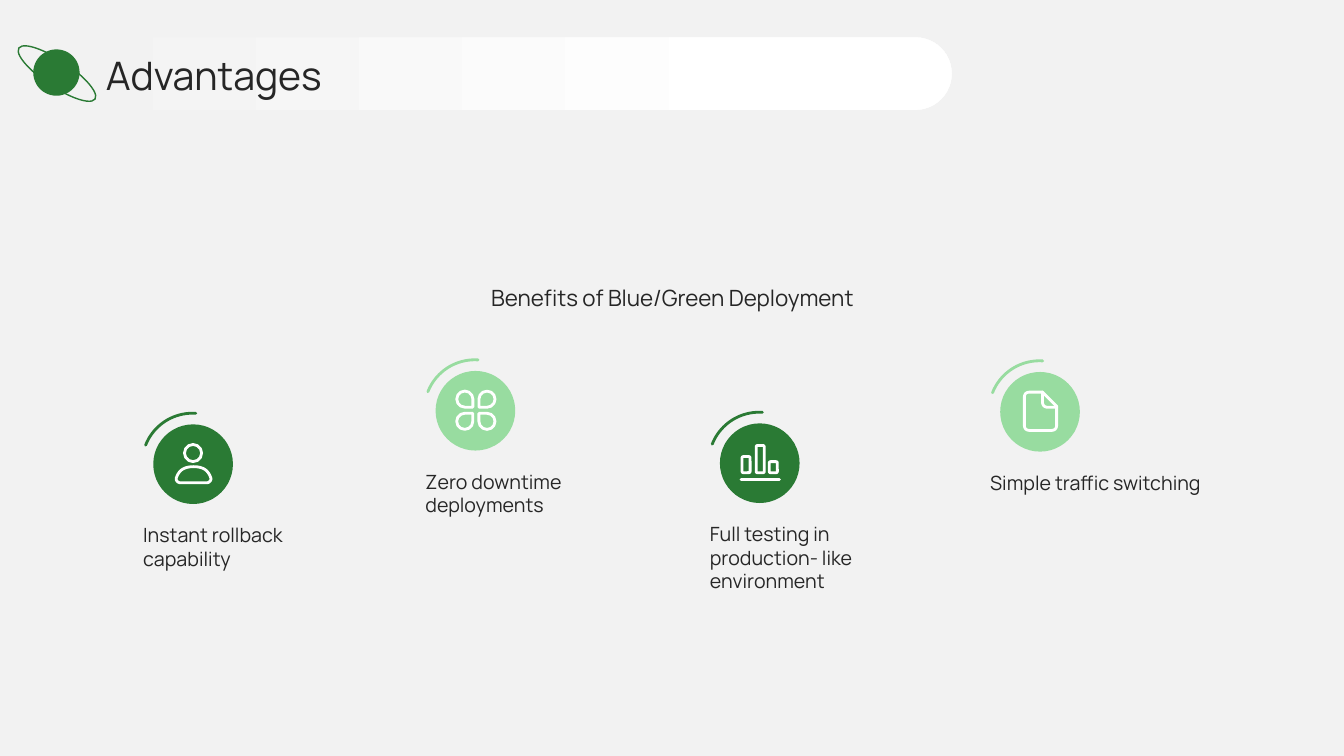
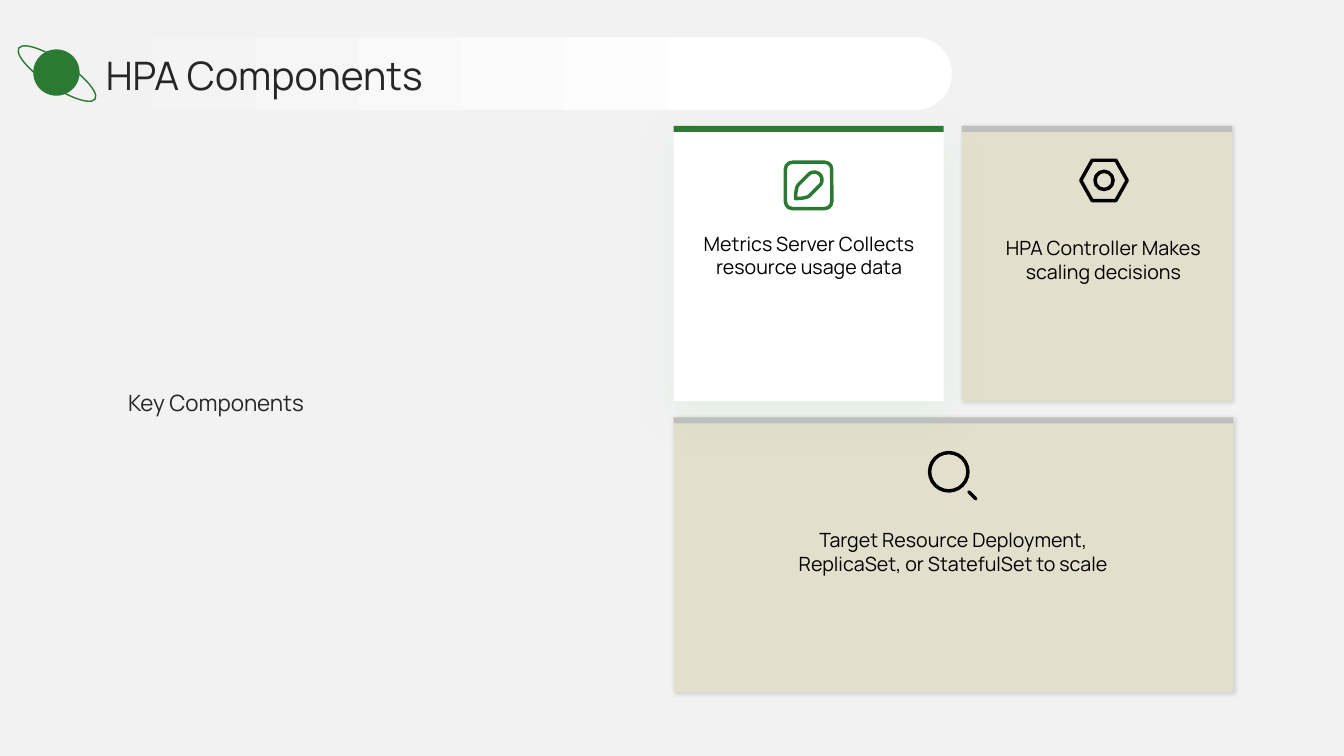
from dataclasses import dataclass

from lxml.etree import SubElement
from pptx import Presentation
from pptx.dml.color import RGBColor
from pptx.enum.shapes import MSO_CONNECTOR, MSO_SHAPE
from pptx.enum.text import MSO_ANCHOR, MSO_AUTO_SIZE, PP_ALIGN
from pptx.oxml.ns import qn
from pptx.slide import Slide
from pptx.util import Inches, Pt

FONT = "Manrope"
COLORS = {
    "page": "F2F2F2", "white": "FFFFFF", "black": "000000", "text": "262626",
    "green": "2A7A34", "mint": "98DCA0", "sand": "E2DFCC", "grey": "BFBFBF",
}
SOFT_SHADOW = ("black", 15, 3, 1, 45)
GLOW_SHADOW = ("mint", 15, 30, 10, 90)


def rgb(name):
    return RGBColor.from_string(COLORS[name])


def style_line(shape, color, pt):
    shape.line.color.rgb = rgb(color)
    shape.line.width = Pt(pt)
    shape._element.spPr.find(qn("a:ln")).set("cap", "rnd")


def style_shape(shape, fill=None, line=None, pt=1):
    shape.shadow.inherit = False
    if fill:
        shape.fill.solid()
        shape.fill.fore_color.rgb = rgb(fill)
    else:
        shape.fill.background()
    if line:
        style_line(shape, line, pt)
    else:
        shape.line.fill.background()


def add_shape(s, kind, x, y, w, h, fill=None, line=None, pt=1):
    sp = s.shapes.add_shape(kind, Inches(x), Inches(y), Inches(w), Inches(h))
    style_shape(sp, fill, line, pt)
    return sp


def add_shadow(sp, color, alpha, blur, dist, angle):
    effects = sp._element.spPr.find(qn("a:effectLst"))
    shadow = SubElement(effects, qn("a:outerShdw"), blurRad=str(Pt(blur)), dist=str(Pt(dist)),
                        dir=str(angle * 60000), algn="ctr", rotWithShape="0")
    clr = SubElement(shadow, qn("a:srgbClr"), val=COLORS[color])
    SubElement(clr, qn("a:alpha"), val=str(alpha * 1000))


def set_text(shape, text, size, color, align, anchor):
    tf = shape.text_frame
    tf.word_wrap = True
    tf.auto_size = MSO_AUTO_SIZE.NONE
    tf.margin_left = tf.margin_right = tf.margin_top = tf.margin_bottom = 0
    tf.vertical_anchor = anchor
    tf.text = text
    p = tf.paragraphs[0]
    p.alignment = align
    p.font.name = FONT
    p.font.size = Pt(size)
    p.font.color.rgb = rgb(color)


def add_text(s, text, x, y, w, h, size=14, color="text", align=PP_ALIGN.LEFT, anchor=MSO_ANCHOR.TOP):
    tb = s.shapes.add_textbox(Inches(x), Inches(y), Inches(w), Inches(h))
    set_text(tb, text, size, color, align, anchor)


def bezier(start, curve, steps=12):
    a, b, c, d = start, curve[:2], curve[2:4], curve[4:]
    for i in range(1, steps + 1):
        t = i / steps
        u = 1 - t
        yield tuple(u**3 * a[k] + 3 * u * u * t * b[k] + 3 * u * t * t * c[k] + t**3 * d[k] for k in (0, 1))


@dataclass
class Pen:
    s: Slide
    cx: float
    cy: float
    color: str
    pt: float

    def shape(self, kind, x, y, w, h):
        return add_shape(self.s, kind, self.cx + x, self.cy + y, w, h, line=self.color, pt=self.pt)

    def line(self, x1, y1, x2, y2):
        ends = (self.cx + x1, self.cy + y1, self.cx + x2, self.cy + y2)
        cn = self.s.shapes.add_connector(MSO_CONNECTOR.STRAIGHT, *map(Inches, ends))
        style_line(cn, self.color, self.pt)
        SubElement(cn._element.spPr, qn("a:effectLst"))

    def outline(self, *steps, close=True):
        points = [steps[0]]
        for step in steps[1:]:
            points += [step] if len(step) == 2 else bezier(points[-1], step)
        points = [(Inches(self.cx + x), Inches(self.cy + y)) for x, y in points]
        builder = self.s.shapes.build_freeform(*points[0], scale=1.0)
        builder.add_line_segments(points[1:], close=close)
        style_shape(builder.convert_to_shape(), line=self.color, pt=self.pt)


def person_icon(pen):
    pen.shape(MSO_SHAPE.OVAL, -0.09, -0.19, 0.17, 0.17)
    pen.outline((-0.13, 0.19), (0.13, 0.19), (0.16, 0.19, 0.18, 0.16, 0.17, 0.14),
                (0.15, 0.08, 0.11, 0.03, 0, 0.03), (-0.11, 0.03, -0.15, 0.08, -0.17, 0.14),
                (-0.18, 0.16, -0.16, 0.19, -0.13, 0.19))


def clover_icon(pen):
    for dx, dy, turn in ((-1, -1, 90), (1, -1, 180), (1, 1, 270), (-1, 1, 0)):
        petal = pen.shape(MSO_SHAPE.TEAR, 0.11 * dx - 0.08, 0.11 * dy - 0.08, 0.16, 0.16)
        petal.rotation = turn


def chart_icon(pen):
    for x, h in ((-0.18, 0.16), (-0.04, 0.27), (0.09, 0.11)):
        bar = pen.shape(MSO_SHAPE.ROUNDED_RECTANGLE, x, 0.1 - h, 0.08, h)
        bar.adjustments[0] = 0.15
    pen.line(-0.19, 0.17, 0.19, 0.17)


def file_icon(pen):
    pen.outline((0.02, -0.19), (0.16, -0.05), (0.16, 0.14), (0.16, 0.17, 0.14, 0.19, 0.11, 0.19),
                (-0.11, 0.19), (-0.14, 0.19, -0.16, 0.17, -0.16, 0.14), (-0.16, -0.14),
                (-0.16, -0.17, -0.14, -0.19, -0.11, -0.19))
    pen.outline((0.02, -0.19), (0.02, -0.09), (0.02, -0.06, 0.04, -0.04, 0.07, -0.04),
                (0.16, -0.04), close=False)


def pencil_icon(pen):
    frame = pen.shape(MSO_SHAPE.ROUNDED_RECTANGLE, -0.23, -0.23, 0.46, 0.46)
    frame.adjustments[0] = 0.15
    pen.outline((-0.13, 0.13), (-0.13, 0.07, -0.12, 0.01, -0.1, -0.01), (0, -0.11),
                (0.03, -0.14, 0.08, -0.14, 0.11, -0.11), (0.14, -0.08, 0.14, -0.03, 0.11, 0),
                (0.01, 0.1), (-0.01, 0.12, -0.07, 0.13, -0.13, 0.13))


def nut_icon(pen):
    nut = pen.shape(MSO_SHAPE.HEXAGON, -0.23, -0.2, 0.46, 0.4)
    nut.adjustments[0] = 0.28
    pen.shape(MSO_SHAPE.OVAL, -0.09, -0.09, 0.18, 0.18)


def search_icon(pen):
    pen.shape(MSO_SHAPE.OVAL, -0.23, -0.23, 0.38, 0.38)
    pen.line(0.16, 0.16, 0.23, 0.23)


def draw_title_band(s):
    band = add_shape(s, MSO_SHAPE.ROUNDED_RECTANGLE, 0.5, 0.37, 8.94, 0.72)
    band.adjustments[0] = 0.5
    band.fill.gradient()
    band.fill.gradient_angle = 0
    for stop, position, color in zip(band.fill.gradient_stops, (0, 0.8), ("page", "white")):
        stop.position = position
        stop.color.rgb = rgb(color)
    planet = add_shape(s, MSO_SHAPE.OVAL, 0.33, 0.49, 0.46, 0.46, "green")
    ring = add_shape(s, MSO_SHAPE.OVAL, 0.11, 0.6, 0.91, 0.26, line="green")
    ring.rotation = 33.8
    return band, planet, ring


def add_titled_slide(prs, title):
    s = prs.slides.add_slide(prs.slide_layouts[5])
    sp = s.shapes.title
    sp.left, sp.top, sp.width, sp.height = map(Inches, (1.05, 0.49, 11.67, 0.51))
    set_text(sp, title, 28, "text", PP_ALIGN.LEFT, MSO_ANCHOR.MIDDLE)
    return s


def move_band_to_layout(s):
    layout = s.slide_layout
    layout.background.fill.solid()
    layout.background.fill.fore_color.rgb = rgb("page")
    for ph in list(layout.placeholders)[1:]:
        ph._element.getparent().remove(ph._element)
    for sp in draw_title_band(s):
        layout.shapes._spTree.append(sp._element)


def add_benefit(s, x, y, color, icon, text):
    add_shape(s, MSO_SHAPE.OVAL, x, y, 0.79, 0.79, color)
    icon(Pen(s, x + 0.4, y + 0.39, "white", 2))
    arc = add_shape(s, MSO_SHAPE.ARC, x - 0.11, y - 0.11, 1, 1, line=color, pt=2)
    arc.adjustments[0], arc.adjustments[1] = 120.86, 164.24
    add_text(s, text, x - 0.1, y + 0.98, 2.11, 0.93)


def add_card(s, x, y, w, fill, accent, shadow):
    card = add_shape(s, MSO_SHAPE.RECTANGLE, x, y, w, 2.73, fill)
    add_shadow(card, *shadow)
    add_shape(s, MSO_SHAPE.RECTANGLE, x, y, w, 0.06, accent)


def fill_advantages(s):
    add_text(s, "Benefits of Blue/Green Deployment", 1.48, 1.91, 10.38, 1.18, 16,
             align=PP_ALIGN.CENTER, anchor=MSO_ANCHOR.BOTTOM)
    benefits = (
        (1.52, 4.21, "green", person_icon, "Instant rollback capability"),
        (4.32, 3.68, "mint", clover_icon, "Zero downtime deployments"),
        (7.14, 4.2, "green", chart_icon, "Full testing in production- like environment"),
        (9.92, 3.69, "mint", file_icon, "Simple traffic switching"),
    )
    for benefit in benefits:
        add_benefit(s, *benefit)


def fill_components(s):
    add_text(s, "Key Components", 1.27, 2.03, 4.08, 3.92, 16, anchor=MSO_ANCHOR.MIDDLE)
    add_card(s, 9.54, 1.25, 2.68, "sand", "grey", SOFT_SHADOW)
    add_card(s, 6.68, 4.14, 5.55, "sand", "grey", SOFT_SHADOW)
    add_card(s, 6.68, 1.25, 2.68, "white", "green", GLOW_SHADOW)
    components = (
        (pencil_icon, 8.02, 1.84, "green", "Metrics Server Collects resource usage data", 6.85, 2.3, 2.35, 1.16),
        (nut_icon, 10.95, 1.79, "black", "HPA Controller Makes scaling decisions", 9.91, 2.34, 2.07, 1.55),
        (search_icon, 9.45, 4.72, "black", "Target Resource Deployment, ReplicaSet, or StatefulSet to scale",
         7.61, 5.24, 3.69, 1.29),
    )
    for icon, cx, cy, color, text, *box in components:
        icon(Pen(s, cx, cy, color, 2.5))
        add_text(s, text, *box, color="black", align=PP_ALIGN.CENTER)


def main():
    prs = Presentation()
    prs.slide_width, prs.slide_height = Inches(13.33), Inches(7.5)
    advantages = add_titled_slide(prs, "Advantages")
    move_band_to_layout(advantages)
    fill_advantages(advantages)
    fill_components(add_titled_slide(prs, "HPA Components"))
    prs.save("out.pptx")


if __name__ == "__main__":
    main()
